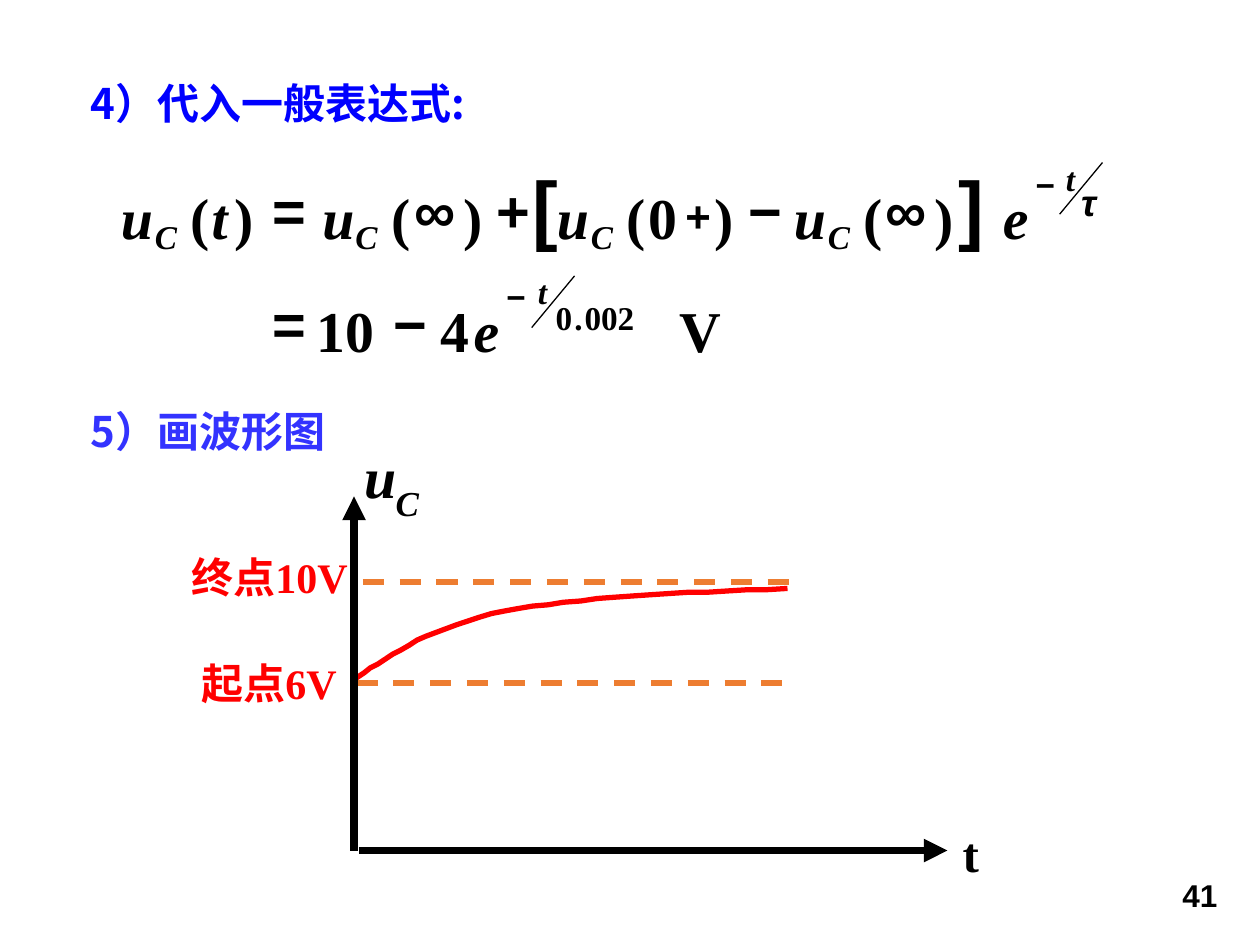
from lxml.etree import SubElement
from pptx import Presentation
from pptx.dml.color import RGBColor
from pptx.enum.dml import MSO_LINE
from pptx.enum.shapes import MSO_CONNECTOR
from pptx.enum.text import PP_ALIGN
from pptx.oxml.ns import qn
from pptx.util import Emu, Pt

SCALE = 9144
SERIF, SANS, HAN = "Times New Roman", "Arial", "Noto Sans CJK SC"
COLORS = {"ink": "000000", "blue": "0000FF", "violet": "3333FF",
          "red": "FF0000", "orange": "ED7D31"}
WIDTHS = {"u": 26, "(": 15, ")": 15, "t": 13, "e": 20, "=": 25, "−": 25,
          "+": 25, "∞": 33, "0": 23, "4": 23, "10": 46, "V": 33, "C": 31,
          ".": 12, "002": 69, "[": 15, "]": 15, "τ": 20}
FORMULA = [
    (SANS, 44, False, 127, [("[", 423), ("]", 761)]),
    (SERIF, 33, False, 234, [("10", 251), ("4", 350), ("V", 539)]),
    (SERIF, 33, False, 144, [("(", 151), (")", 186), ("(", 311), (")", 368), ("(", 497),
                             ("0", 515), (")", 567), ("(", 685), (")", 742)]),
    (SERIF, 33, True, 144, [("u", 96), ("t", 168), ("u", 256), ("u", 442),
                            ("u", 630), ("e", 796)]),
    (SERIF, 33, True, 234, [("e", 376)]),
    (SERIF, 19, True, 172, [("C", 123), ("C", 282), ("C", 469), ("C", 657)]),
    (SERIF, 19, True, 126, [("t", 846)]),
    (SERIF, 19, True, 215, [("t", 427)]),
    (SERIF, 19, False, 236, [("0", 441), (".", 456), ("002", 464)]),
    (SANS, 19, False, 130, [("−", 822)]),
    (SANS, 19, False, 219, [("−", 402)]),
    (SANS, 25, False, 150, [("+", 544)]),
    (SANS, 33, False, 139, [("=", 216), ("∞", 329), ("+", 394), ("−", 594), ("∞", 703)]),
    (SANS, 33, False, 228, [("=", 216), ("−", 312)]),
    (SANS, 21, True, 143, [("τ", 858)]),
]
CURVE = [((283, 538), (313, 518), (343, 497), (400, 485)),
         ((400, 485), (457, 474), (541, 470), (625, 467))]


def px(n):
    """Turn a length in px into EMU."""
    return Emu(round(n * SCALE))


def tint(name):
    """Look up a colour by name."""
    return RGBColor.from_string(COLORS[name])


def add_text(slide, text, box, face, size, color="ink", slant=False, align=None):
    """Add a bold one-paragraph text box and return its frame."""
    frame = slide.shapes.add_textbox(*map(px, box)).text_frame
    frame.word_wrap = True
    frame.text = text
    para = frame.paragraphs[0]
    para.alignment = align
    run = para.runs[0]
    font = run.font
    font.name, font.size, font.bold, font.italic = face, Pt(size), True, slant
    font.color.rgb = tint(color)
    SubElement(font._element, qn("a:ea")).set("typeface", HAN)
    return frame


def add_glyph(slide, text, left, top, face, size, slant):
    """Add one formula symbol, its box sized from the font size."""
    box = (left, top, round(WIDTHS[text] * size / 33), round(size * 5 / 3))
    frame = add_text(slide, text, box, face, size, slant=slant)
    frame.word_wrap = False
    frame.margin_left = frame.margin_right = 0
    frame.margin_top = frame.margin_bottom = 0


def add_line(slide, start, end, width, color="ink", dash=False, arrow=False):
    """Add a straight line, dashed or with an arrowhead if asked."""
    link = slide.shapes.add_connector(MSO_CONNECTOR.STRAIGHT, *map(px, start + end))
    link.line.width = Pt(width)
    link.line.color.rgb = tint(color)
    if dash:
        link.line.dash_style = MSO_LINE.DASH
    props = link._element.spPr
    if arrow:
        SubElement(props.find(qn("a:ln")), qn("a:tailEnd")).set("type", "triangle")
    SubElement(props, qn("a:effectLst"))


def bezier(points, t):
    """Return the point at t on a cubic curve."""
    s = 1 - t
    parts = (s ** 3, 3 * s * s * t, 3 * s * t * t, t ** 3)
    return tuple(sum(w * p[i] for w, p in zip(parts, points)) for i in (0, 1))


def add_curve(slide, steps=16):
    """Draw the rising voltage curve."""
    dots = [bezier(part, n / steps) for part in CURVE for n in range(1, steps + 1)]
    build = slide.shapes.build_freeform(*CURVE[0][0], scale=SCALE)
    build.add_line_segments(dots, close=False)
    shape = build.convert_to_shape()
    shape.shadow.inherit = False
    shape.fill.background()
    shape.line.color.rgb = tint("red")
    shape.line.width = Pt(3)


def add_formula(slide):
    """Set the two formula rows and their slashes."""
    for face, size, slant, top, marks in FORMULA:
        for text, left in marks:
            add_glyph(slide, text, left, top, face, size, slant)
    for x, y in ((841, 170), (422, 260)):
        add_line(slide, (x, y), (x + 34, y - 41), 0.75)


def add_graph(slide):
    """Draw the waveform with its levels, axes and labels."""
    add_text(slide, "终点10V", (142, 433, 167, 50), SERIF, 24, "red")
    add_text(slide, "起点6V", (150, 517, 129, 51), SERIF, 24, "red")
    for left, right, y in ((288, 632, 462), (283, 628, 542)):
        add_line(slide, (left, y), (right, y), 3, "orange", dash=True)
    add_curve(slide)
    add_line(slide, (285, 675), (752, 675), 4.5, arrow=True)
    add_line(slide, (281, 675), (281, 394), 4.5, arrow=True)
    add_text(slide, "t", (754, 649, 33, 57), SERIF, 28, align=PP_ALIGN.CENTER)
    add_glyph(slide, "u", 289, 350, SERIF, 33, True)
    add_glyph(slide, "C", 314, 382, SERIF, 20, True)


def main():
    """Build and save the slide."""
    deck = Presentation()
    deck.slide_width, deck.slide_height = px(1000), px(750)
    slide = deck.slides.add_slide(deck.slide_layouts[6])
    add_text(slide, "41", (776, 690, 200, 40), SANS, 18, align=PP_ALIGN.RIGHT)
    add_formula(slide)
    add_text(slide, "4）代入一般表达式:", (62, 57, 325, 50), HAN, 24, "blue")
    add_graph(slide)
    add_text(slide, "5）画波形图", (62, 317, 375, 50), HAN, 24, "violet")
    deck.save("out.pptx")


if __name__ == "__main__":
    main()
